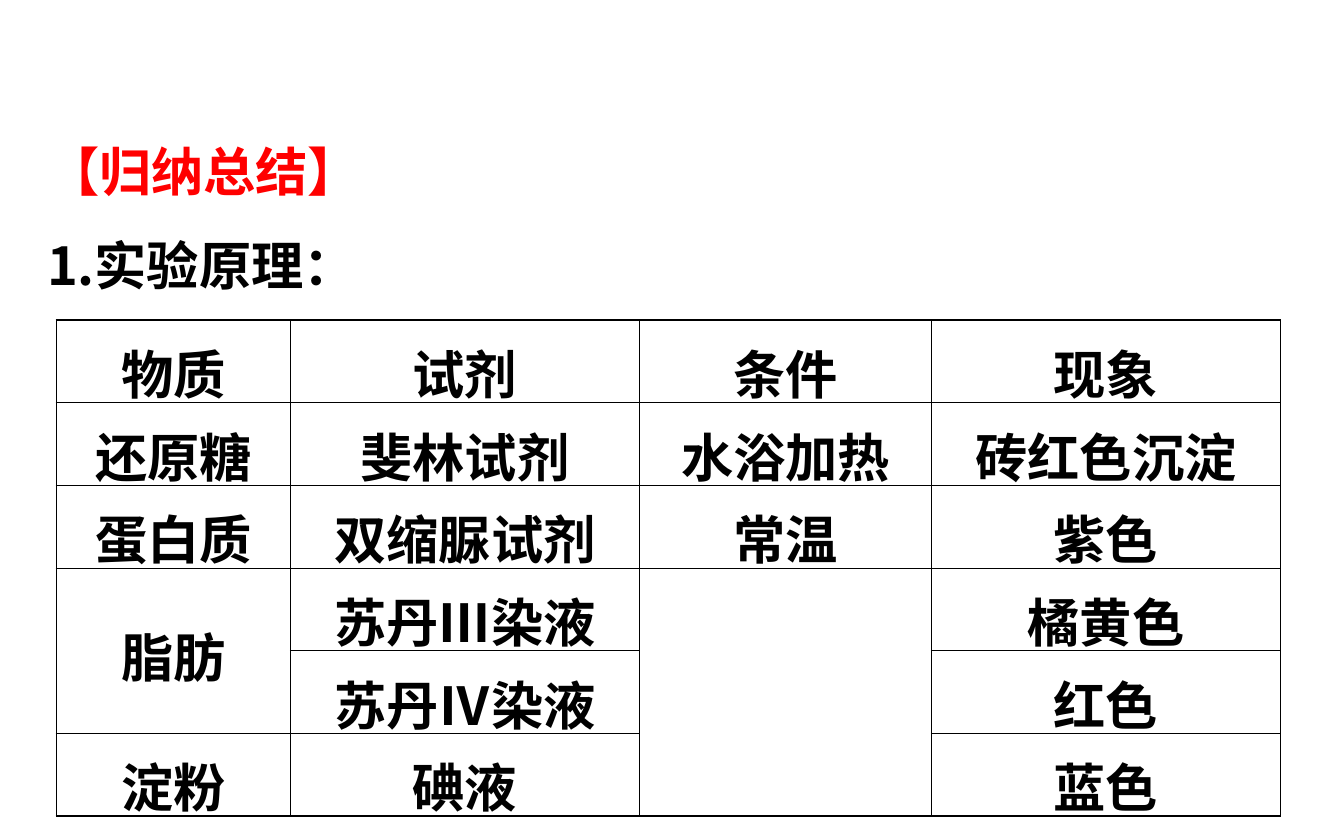
from pptx import Presentation
from pptx.dml.color import RGBColor
from pptx.enum.text import MSO_ANCHOR as Anchor, MSO_AUTO_SIZE as AutoSize, PP_ALIGN as Align
from pptx.oxml.ns import qn
from pptx.util import Pt
from lxml.etree import SubElement

FONT = "Noto Sans CJK SC"


def style(para, color, align, spacing):
    para.alignment = align
    para.line_spacing = spacing
    font = para.font
    font.size, font.bold, font.name = Pt(28), True, FONT
    font.color.rgb = RGBColor.from_string(color)
    SubElement(font._element, qn("a:ea"), typeface=FONT)


def add_border(cell, side, width, color):
    line = SubElement(cell._tc.get_or_add_tcPr(), qn(f"a:ln{side}"), w=str(Pt(width)))
    fill = SubElement(line, qn("a:solidFill"))
    SubElement(fill, qn("a:srgbClr"), val=color)


deck = Presentation()
deck.slide_width, deck.slide_height = Pt(720), Pt(450)
page = deck.slides.add_slide(deck.slide_layouts[5])

# Heading and subheading
title = page.shapes.title
title.left, title.top, title.width, title.height = Pt(18), Pt(54), Pt(679), Pt(108)
frame = title.text_frame
frame.word_wrap = True
frame.auto_size = AutoSize.SHAPE_TO_FIT_TEXT
frame.vertical_anchor = Anchor.TOP
frame.text = "【归纳总结】\n1.实验原理："
for para, color in zip(frame.paragraphs, ("FF0000", "000000")):
    style(para, color, Align.LEFT, 1.5)

# Table of reagents
rows = [
    ("物质", "试剂", "条件", "现象"),
    ("还原糖", "斐林试剂", "水浴加热", "砖红色沉淀"),
    ("蛋白质", "双缩脲试剂", "常温", "紫色"),
    ("脂肪", "苏丹Ⅲ染液", "", "橘黄色"),
    ("", "苏丹Ⅳ染液", "", "红色"),
    ("淀粉", "碘液", "", "蓝色"),
]
widths = (125.3, 187.2, 156.2, 187.2)
row_height = 44.3
table = page.shapes.add_table(
    len(rows), len(widths), Pt(30.2), Pt(171.4), Pt(sum(widths)), Pt(row_height * len(rows))
).table
table.first_row = table.horz_banding = False
for column, width in zip(table.columns, widths):
    column.width = Pt(width)
for row in table.rows:
    row.height = Pt(row_height)
table.cell(3, 0).merge(table.cell(4, 0))
table.cell(3, 2).merge(table.cell(5, 2))

# Cell text, with a heavier line around the outside
for r, row in enumerate(rows):
    for c, text in enumerate(row):
        cell = table.cell(r, c)
        if not cell.is_spanned:
            height = cell.span_height if cell.is_merge_origin else 1
            outer = {"L": c == 0, "R": c == len(widths) - 1,
                     "T": r == 0, "B": r + height == len(rows)}
            for side, is_outer in outer.items():
                add_border(cell, side, 0.96 if is_outer else 0.45, "000000")
        cell.fill.background()
        cell.vertical_anchor = Anchor.MIDDLE
        if text:
            cell.text = text
            style(cell.text_frame.paragraphs[0], "000000", Align.CENTER, 1.1)

deck.save("out.pptx")
